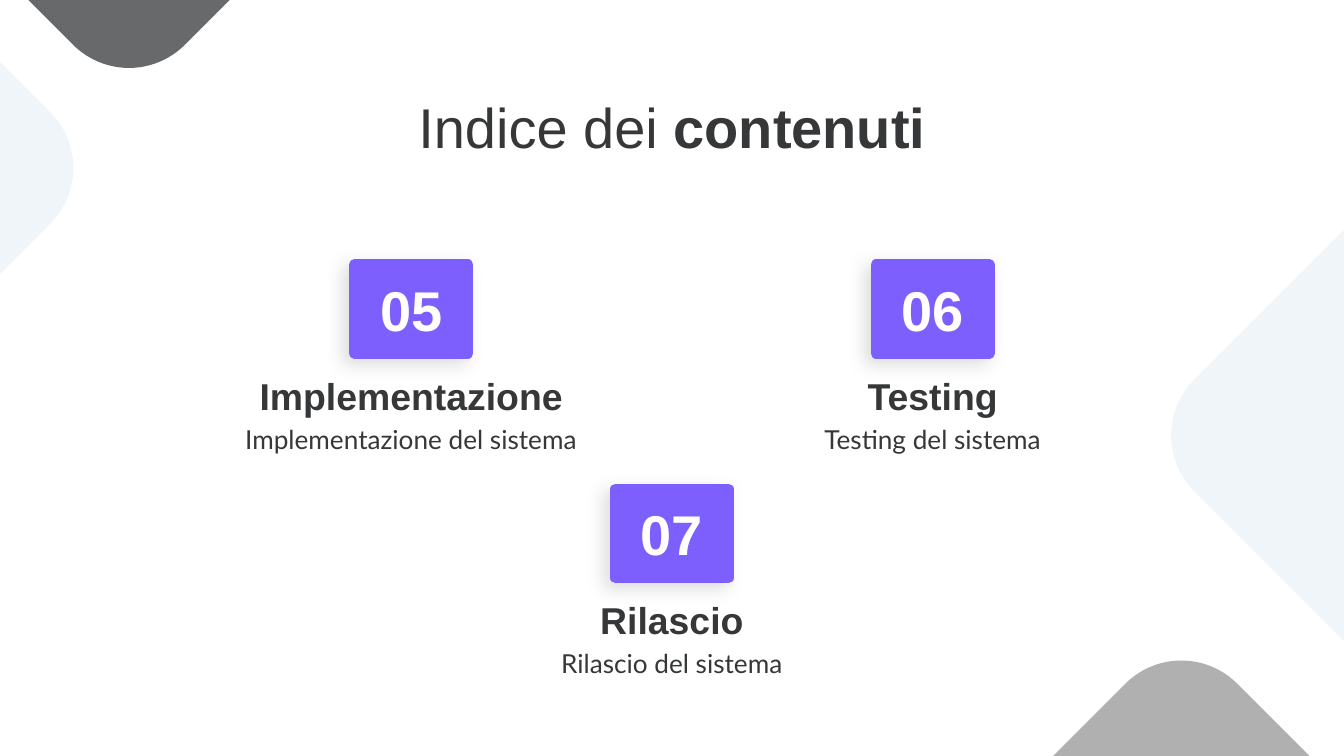
import pptx
import pptx.util
import pptx.dml.color
import pptx.enum.shapes
import pptx.enum.text
import pptx.oxml
import pptx.oxml.ns

Inches = pptx.util.Inches
Pt = pptx.util.Pt
RGBColor = pptx.dml.color.RGBColor
MSO_SHAPE = pptx.enum.shapes.MSO_SHAPE
MSO_ANCHOR = pptx.enum.text.MSO_ANCHOR
PP_ALIGN = pptx.enum.text.PP_ALIGN

DARK_GRAY = RGBColor(0x67, 0x69, 0x6B)
LIGHT_GRAY = RGBColor(0xB0, 0xB0, 0xB0)
PALE_BLUE = RGBColor(0xF0, 0xF5, 0xFA)
PURPLE = RGBColor(0x7D, 0x5F, 0xFE)
INK = RGBColor(0x35, 0x37, 0x38)
WHITE = RGBColor(0xFF, 0xFF, 0xFF)

SLIDE_WIDTH = 10
DIAMOND_SIDE = 3.52
BADGE_WIDTH, BADGE_HEIGHT = 0.84, 0.66

# Left, top and colour of each corner diamond
DIAMONDS = [
    (-0.8, -3.5, DARK_GRAY),
    (9.2, 1.48, PALE_BLUE),
    (-3.46, -0.51, PALE_BLUE),
    (7.03, 5.4, LIGHT_GRAY),
]

# Centre, top, number, heading, heading width and description of each entry
ENTRIES = [
    (3.06, 1.97, "05", "Implementazione", 4.72, "Implementazione del sistema"),
    (6.94, 1.97, "06", "Testing", 3.4, "Testing del sistema"),
    (5, 3.64, "07", "Rilascio", 3.4, "Rilascio del sistema"),
]


def write_text(shape, runs, size, color, font_name="Arial", anchor=MSO_ANCHOR.TOP):
    """Fill a shape with one centred paragraph of (text, bold) runs."""
    frame = shape.text_frame
    frame.word_wrap = True
    frame.vertical_anchor = anchor
    frame.margin_left = frame.margin_right = Inches(0.1)
    frame.margin_top = frame.margin_bottom = Inches(0.1)
    paragraph = frame.paragraphs[0]
    paragraph.alignment = PP_ALIGN.CENTER
    paragraph.font.name = font_name
    paragraph.font.size = Pt(size)
    paragraph.font.color.rgb = color
    for text, bold in runs:
        run = paragraph.add_run()
        run.text = text
        run.font.bold = bold


def add_text(slide, center, top, width, height, runs, size, **style):
    box = slide.shapes.add_textbox(
        Inches(center - width / 2), Inches(top), Inches(width), Inches(height))
    write_text(box, runs, size, INK, **style)


def add_diamond(slide, left, top, color):
    diamond = slide.shapes.add_shape(
        MSO_SHAPE.ROUNDED_RECTANGLE, Inches(left), Inches(top),
        Inches(DIAMOND_SIDE), Inches(DIAMOND_SIDE))
    diamond.adjustments[0] = 0.167
    diamond.rotation = 315
    diamond.shadow.inherit = False
    diamond.fill.solid()
    diamond.fill.fore_color.rgb = color
    diamond.line.fill.background()


def round_outline(shape):
    outline = shape.element.spPr.find(pptx.oxml.ns.qn("a:ln"))
    outline.append(pptx.oxml.parse_xml(
        f'<a:round {pptx.oxml.ns.nsdecls("a")}/>'))


def add_soft_shadow(shape):
    shape.shadow.inherit = False
    effects = shape.element.spPr.find(pptx.oxml.ns.qn("a:effectLst"))
    effects.append(pptx.oxml.parse_xml(
        f'<a:outerShdw {pptx.oxml.ns.nsdecls("a")} blurRad="{Pt(9)}" '
        f'dist="{Pt(4.5)}" dir="{140 * 60000}" algn="bl" rotWithShape="0">'
        f'<a:srgbClr val="{LIGHT_GRAY}"><a:alpha val="40000"/></a:srgbClr>'
        '</a:outerShdw>'))


def add_badge(slide, center, top, number):
    badge = slide.shapes.add_shape(
        MSO_SHAPE.RECTANGLE, Inches(center - BADGE_WIDTH / 2), Inches(top),
        Inches(BADGE_WIDTH), Inches(BADGE_HEIGHT))
    badge.fill.solid()
    badge.fill.fore_color.rgb = PURPLE
    badge.line.color.rgb = PURPLE
    badge.line.width = Pt(6)
    round_outline(badge)
    add_soft_shadow(badge)
    write_text(badge, [(number, True)], 30, WHITE, anchor=MSO_ANCHOR.MIDDLE)


def add_entry(slide, center, top, number, heading, heading_width, description):
    add_badge(slide, center, top, number)
    add_text(slide, center, top + 0.7, heading_width, 0.54,
             [(heading, True)], 20, anchor=MSO_ANCHOR.BOTTOM)
    add_text(slide, center, top + 1.08, 3.4, 0.66,
             [(description, False)], 14, font_name="Lato")


def main():
    presentation = pptx.Presentation()
    presentation.slide_width = Inches(SLIDE_WIDTH)
    presentation.slide_height = Inches(SLIDE_WIDTH * 9 / 16)
    slide = presentation.slides.add_slide(presentation.slide_layouts[6])

    # Background decoration
    for diamond in DIAMONDS:
        add_diamond(slide, *diamond)

    # Title
    add_text(slide, SLIDE_WIDTH / 2, 0.59, 8.43, 0.69,
             [("Indice dei ", False), ("contenuti", True)], 30)

    # Table of contents
    for entry in ENTRIES:
        add_entry(slide, *entry)

    presentation.save("out.pptx")


if __name__ == "__main__":
    main()
